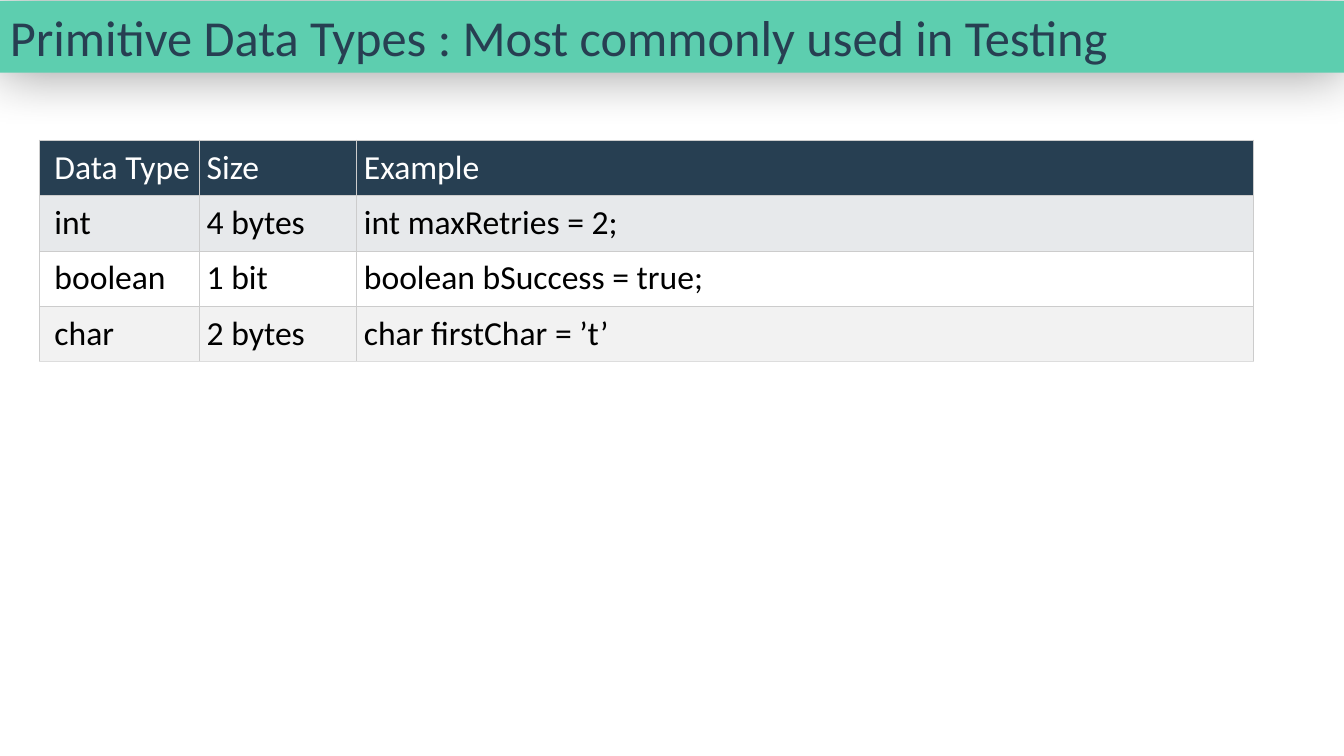
import pptx
import pptx.dml.color
import pptx.enum.shapes
import pptx.enum.text
import pptx.oxml
import pptx.oxml.ns
import pptx.util

Inches = pptx.util.Inches
NAVY = "273F52"
NAMESPACE = pptx.oxml.ns.nsdecls("a")


def color(hex_string):
    return pptx.dml.color.RGBColor.from_string(hex_string)


def write(text_frame, text, size=24, fill="000000", font="Calibri"):
    paragraph = text_frame.paragraphs[0]
    paragraph.alignment = pptx.enum.text.PP_ALIGN.LEFT
    run = paragraph.add_run()
    run.text = text
    run.font.name = font
    run.font.size = pptx.util.Pt(size)
    run.font.color.rgb = color(fill)


presentation = pptx.Presentation()
presentation.slide_width = Inches(13.33)
presentation.slide_height = Inches(7.5)
slide = presentation.slides.add_slide(presentation.slide_layouts[6])

# Title bar with a soft shadow
title_bar = slide.shapes.add_shape(
    pptx.enum.shapes.MSO_SHAPE.RECTANGLE, 0, Inches(0.01), Inches(13.33), Inches(0.71))
title_bar.fill.solid()
title_bar.fill.fore_color.rgb = color("5DCEAF")
title_bar.line.fill.background()
title_bar.shadow.inherit = False
effects = title_bar._element.spPr.find(pptx.oxml.ns.qn("a:effectLst"))
effects.append(pptx.oxml.parse_xml(
    f'<a:outerShdw {NAMESPACE} blurRad="{pptx.util.Pt(39)}" dist="0" dir="0" rotWithShape="0">'
    '<a:srgbClr val="000000"><a:alpha val="40000"/></a:srgbClr></a:outerShdw>'))
title_bar.text_frame.word_wrap = True
title_bar.text_frame.vertical_anchor = pptx.enum.text.MSO_ANCHOR.MIDDLE
write(title_bar.text_frame, "Primitive Data Types : Most commonly used in Testing",
      size=36, fill=NAVY)

# Table of data types: fill, text colour, bottom border and cells of each row
rows = [
    (NAVY, "FFFFFF", "CCCCCC", ["Data Type", "Size", "Example"]),
    ("E7E9EB", "000000", "CCCCCC", ["int", "4 bytes", "int maxRetries = 2;"]),
    ("FFFFFF", "000000", "CCCCCC", ["boolean", "1 bit", "boolean bSuccess = true;"]),
    ("F2F2F2", "000000", "DDDDDD", ["char", "2 bytes", "char firstChar = ’t’"]),
]
column_widths = [1.59, 1.56, 8.89]
row_height = 0.55
table = slide.shapes.add_table(
    len(rows), len(column_widths), Inches(0.39), Inches(1.39),
    Inches(sum(column_widths)), Inches(row_height * len(rows))).table
for column, width in zip(table.columns, column_widths):
    column.width = Inches(width)

for row_index, (row_fill, text_fill, bottom_border, texts) in enumerate(rows):
    table.rows[row_index].height = Inches(row_height)
    for column_index, text in enumerate(texts):
        cell = table.cell(row_index, column_index)
        cell.margin_left = Inches(0.15 if column_index == 0 else 0.07)
        cell.margin_right = cell.margin_top = cell.margin_bottom = Inches(0.07)
        write(cell.text_frame, text, fill=text_fill)
        cell.fill.solid()
        cell.fill.fore_color.rgb = color(row_fill)
        # Borders go before the fill, in the order left, right, top, bottom
        properties = cell._tc.get_or_add_tcPr()
        for position, side in enumerate("LRTB"):
            border = bottom_border if side == "B" else "CCCCCC"
            properties.insert(position, pptx.oxml.parse_xml(
                f'<a:ln{side} {NAMESPACE} w="{pptx.util.Pt(0.75)}"><a:solidFill>'
                f'<a:srgbClr val="{border}"/></a:solidFill></a:ln{side}>'))

presentation.save("out.pptx")
